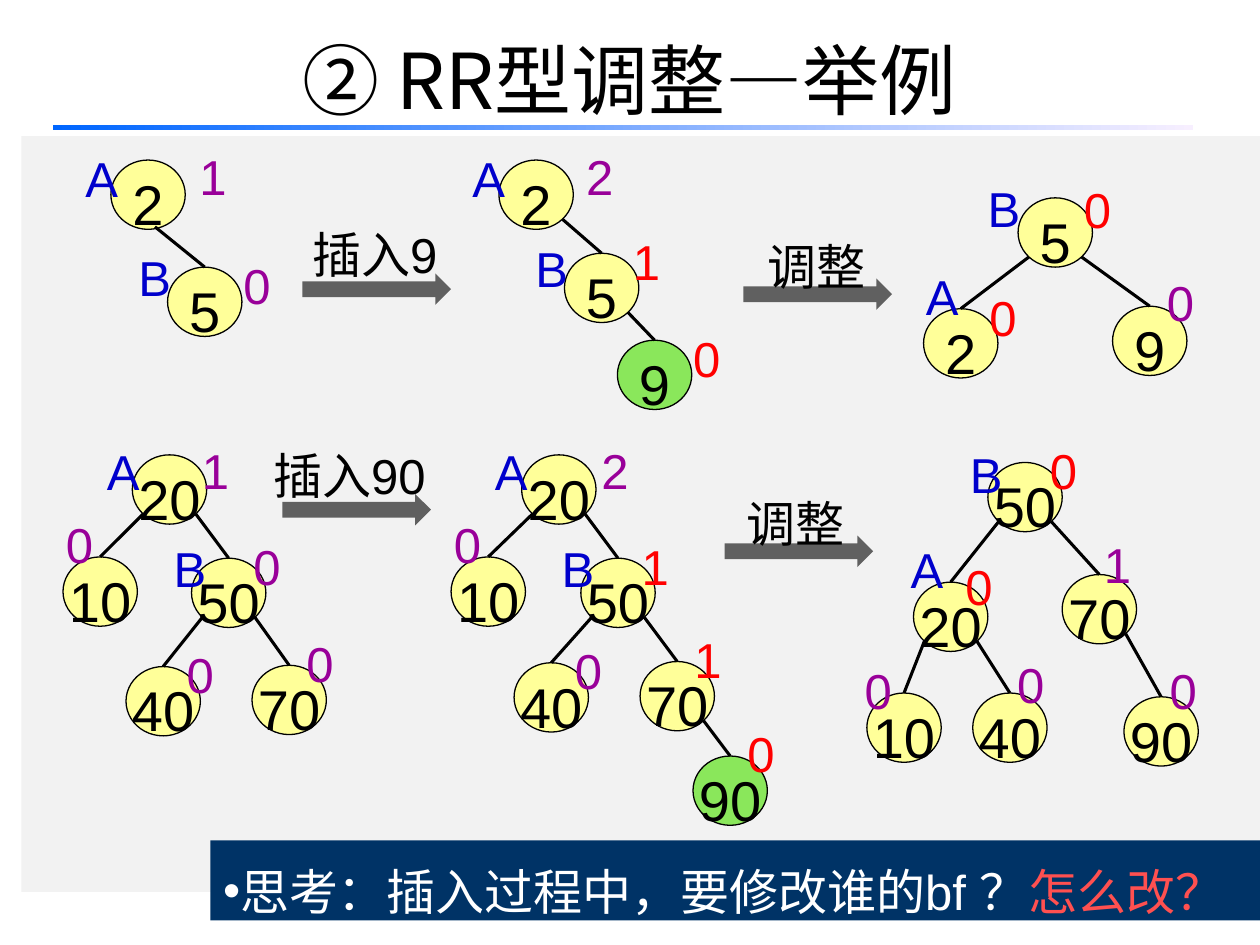
"""Build the slide that shows RR rotations of balanced binary trees."""
from dataclasses import dataclass
from typing import NamedTuple, Optional

from lxml import etree
from pptx import Presentation
from pptx import util as u
from pptx.dml.color import RGBColor
from pptx.enum import shapes, text
from pptx.oxml import ns

COLUMNS, ROWS = 100, 75
CELL = u.Inches(0.1)
NODE_WIDTH, NODE_HEIGHT = 5.9, 5.5
DIAGONAL = 0.5 ** 0.5 / 2
SHAPE, ALIGN = shapes.MSO_SHAPE, text.PP_ALIGN


@dataclass(frozen=True)
class Theme:
    black: str = "000000"
    white: str = "FFFFFF"
    panel: str = "F2F2F2"
    node: str = "FFFF99"
    inserted: str = "8AE75B"
    name: str = "0000CC"
    kept: str = "990099"
    changed: str = "FF0000"
    arrow: str = "606060"
    bar: str = "003366"
    question: str = "FF5050"
    rule_start: str = "0066FF"
    rule_end: str = "F7EFFF"
    latin: str = "Arial"
    chinese: str = "Noto Sans CJK SC"
    title_size: int = 44
    node_size: int = 32
    label_size: int = 28


THEME = Theme()


class Mark(NamedTuple):
    words: str
    column: float
    row: float
    color: str = THEME.kept


class Node(NamedTuple):
    value: str
    column: float
    row: float
    balance: Mark
    parent: Optional[int] = None
    name: Optional[Mark] = None
    fill: str = THEME.node
    edge_start: Optional[tuple] = None


class Step(NamedTuple):
    words: str
    column: float
    row: float
    width: float
    arrow_column: float
    arrow_row: float


def letter(words: str, column: float, row: float) -> Mark:
    """Describe the name of a node."""
    return Mark(words, column, row, THEME.name)


def changed(words: str, column: float, row: float) -> Mark:
    """Describe a balance factor that has been modified."""
    return Mark(words, column, row, THEME.changed)


TREES = [
    [Node("2", 8.8, 12.7, Mark("1", 14.8, 10), name=letter("A", 5.8, 10.1)),
     Node("5", 13.3, 21.2, Mark("0", 18.3, 18.6), 0, letter("B", 10, 18), edge_start=(12.3, 18))],
    [Node("2", 39.6, 12.7, Mark("2", 45.5, 10), name=letter("A", 36.5, 10.1)),
     Node("5", 44.8, 20.1, changed("1", 49.2, 16.7), 0, letter("B", 41.5, 17.3)),
     Node("9", 49, 27, changed("0", 54, 24.4), 1, fill=THEME.inserted)],
    [Node("5", 80.8, 15.7, changed("0", 85, 12.6), name=letter("B", 77.4, 12.5)),
     Node("2", 73.3, 24.5, changed("0", 77.5, 21.2), 0, letter("A", 72.5, 19.5)),
     Node("9", 88.3, 24.3, Mark("0", 91.6, 20), 0)],
    [Node("20", 10.5, 36.1, Mark("1", 15, 33.3), name=letter("A", 7.5, 33.4)),
     Node("10", 5, 44.2, Mark("0", 4.2, 39.2), 0),
     Node("50", 15.2, 44.3, Mark("0", 19.1, 40.9), 0, letter("B", 12.8, 41.1)),
     Node("40", 10, 52.9, Mark("0", 13.8, 49.5), 2),
     Node("70", 20, 52.8, Mark("0", 23.3, 48.6), 2)],
    [Node("20", 41.4, 36.1, Mark("2", 46.7, 33.3), name=letter("A", 38.3, 33.4)),
     Node("10", 35.8, 44.2, Mark("0", 35, 39.2), 0),
     Node("50", 46.1, 44.3, changed("1", 49.9, 40.9), 0, letter("B", 43.6, 41.1)),
     Node("40", 40.8, 52.6, Mark("0", 44.6, 49.2), 2),
     Node("70", 50.8, 52.5, changed("1", 54.1, 48.3), 2),
     Node("90", 55, 60, changed("0", 58.3, 55.8), 4, fill=THEME.inserted)],
    [Node("50", 78.4, 36.7, changed("0", 82.3, 33.3), name=letter("B", 76, 33.6)),
     Node("20", 72.5, 46.2, changed("0", 75.6, 42.5), 0, letter("A", 71.3, 41.2)),
     Node("70", 84.3, 45.6, Mark("1", 86.6, 40.8), 0),
     Node("10", 68.8, 55, Mark("0", 67.6, 50.8), 1),
     Node("40", 77.2, 55, Mark("0", 79.7, 50.3), 1),
     Node("90", 89.2, 55.3, Mark("0", 91.8, 50.8), 2)],
]
STEPS = [
    Step("插入9", 23.8, 16.2, 12.1, 24, 21.7),
    Step("调整", 59.9, 17.1, 9.9, 59, 22.1),
    Step("插入90", 20.7, 33.7, 14.3, 22.4, 39.2),
    Step("调整", 58.3, 37.5, 9.9, 57.5, 42.5),
]


def grid(*cells: float) -> list:
    """Turn columns and rows into slide lengths."""
    return [round(cell * CELL) for cell in cells]


def add_run(paragraph, words: str, size: int, color: str, font: str = THEME.latin) -> None:
    """Add one formatted run."""
    run = paragraph.add_run()
    run.text = words
    run.font.size = u.Pt(size)
    run.font.color.rgb = RGBColor.from_string(color)
    run.font.name = font
    etree.SubElement(run.font._element, ns.qn("a:ea"), typeface=THEME.chinese)


def space_paragraph(paragraph, alignment) -> None:
    """Apply the common alignment, line spacing and proportional space before."""
    paragraph.alignment = alignment
    paragraph.line_spacing = 1.25
    paragraph.space_before = u.Pt(0)
    before = paragraph._p.pPr.find(ns.qn("a:spcBef"))
    before.remove(before[0])
    etree.SubElement(before, ns.qn("a:spcPct"), val="30000")


def add_block(slide, kind, cells: tuple, fill: str):
    """Draw a flat preset shape without outline."""
    shape = slide.shapes.add_shape(kind, *grid(*cells))
    shape.shadow.inherit = False
    shape.fill.solid()
    shape.fill.fore_color.rgb = RGBColor.from_string(fill)
    shape.line.fill.background()
    return shape


def add_label(slide, mark: Mark, width: float, alignment, wrap: bool = False) -> None:
    """Draw a free text label."""
    frame = slide.shapes.add_textbox(*grid(mark.column, mark.row, width, 6.3)).text_frame
    frame.word_wrap = wrap
    frame.auto_size = text.MSO_AUTO_SIZE.SHAPE_TO_FIT_TEXT
    space_paragraph(frame.paragraphs[0], alignment)
    add_run(frame.paragraphs[0], mark.words, THEME.label_size, mark.color)


def add_node(slide, node: Node):
    """Draw one tree node with its key."""
    shape = add_block(slide, SHAPE.OVAL, (node.column, node.row, NODE_WIDTH, NODE_HEIGHT), node.fill)
    shape.line.color.rgb = RGBColor.from_string(THEME.black)
    shape.line.width = u.Pt(0.75)
    frame = shape.text_frame
    frame.word_wrap = False
    frame.vertical_anchor = text.MSO_ANCHOR.MIDDLE
    space_paragraph(frame.paragraphs[0], ALIGN.CENTER)
    add_run(frame.paragraphs[0], node.value, THEME.node_size, THEME.black)
    return shape


def add_edge(slide, parent: Node, child: Node, child_shape) -> None:
    """Join the parent's lower diagonal point to the top of the child."""
    side = 1 if child.column > parent.column else -1
    start = child.edge_start or (parent.column + NODE_WIDTH * (0.5 + side * DIAGONAL),
                                 parent.row + NODE_HEIGHT * (0.5 + DIAGONAL))
    end = (child.column + NODE_WIDTH / 2, child.row)
    edge = slide.shapes.add_connector(shapes.MSO_CONNECTOR.STRAIGHT, *grid(*start, *end))
    edge.end_connect(child_shape, 0)
    edge.line.color.rgb = RGBColor.from_string(THEME.black)
    edge.line.width = u.Pt(1.75)
    etree.SubElement(edge._element.spPr, ns.qn("a:effectLst"))


def add_tree(slide, nodes: list) -> None:
    """Draw nodes, edges, names and balance factors of one tree."""
    for node in nodes:
        shape = add_node(slide, node)
        if node.parent is not None:
            add_edge(slide, nodes[node.parent], node, shape)
    for node in nodes:
        if node.name:
            add_label(slide, node.name, 4.6, ALIGN.LEFT)
        add_label(slide, node.balance, 4.2, ALIGN.CENTER)


def place(shape, cells: tuple) -> None:
    """Move a placeholder onto the grid."""
    shape.left, shape.top, shape.width, shape.height = grid(*cells)


def fill_title(title) -> None:
    """Format the title placeholder."""
    place(title, (5, 0, 90, 12.5))
    title.text_frame.vertical_anchor = text.MSO_ANCHOR.MIDDLE
    paragraph = title.text_frame.paragraphs[0]
    paragraph.alignment = ALIGN.CENTER
    add_run(paragraph, "② RR型调整—举例", THEME.title_size, THEME.black, THEME.chinese)


def fill_question(body) -> None:
    """Format the body placeholder as the bar in front of the panel."""
    place(body, (16.7, 66.7, 83.3, 6.3))
    body.fill.solid()
    body.fill.fore_color.rgb = RGBColor.from_string(THEME.bar)
    body.text_frame.auto_size = text.MSO_AUTO_SIZE.SHAPE_TO_FIT_TEXT
    paragraph = body.text_frame.paragraphs[0]
    space_paragraph(paragraph, ALIGN.LEFT)
    properties = paragraph._p.pPr
    properties.set("marL", "0")
    properties.set("indent", "0")
    etree.SubElement(properties, ns.qn("a:buFont"), typeface=THEME.latin)
    etree.SubElement(properties, ns.qn("a:buChar"), char="•")
    add_run(paragraph, "思考：插入过程中，要修改谁的bf ？", THEME.label_size, THEME.white)
    add_run(paragraph, "怎么改？", THEME.label_size, THEME.question)
    body.element.getparent().append(body.element)


def main() -> None:
    """Assemble and save the slide."""
    presentation = Presentation()
    presentation.slide_width, presentation.slide_height = grid(COLUMNS, ROWS)
    slide = presentation.slides.add_slide(presentation.slide_layouts[1])
    fill_title(slide.shapes.title)
    rule = add_block(slide, SHAPE.RECTANGLE, (4.2, 9.9, 90.5, 0.4), THEME.rule_start)
    rule.fill.gradient()
    rule.fill.gradient_angle = 0
    for stop, color in zip(rule.fill.gradient_stops, (THEME.rule_start, THEME.rule_end)):
        stop.color.rgb = RGBColor.from_string(color)
    add_block(slide, SHAPE.RECTANGLE, (1.7, 10.8, 98.3, 60), THEME.panel)
    for step in STEPS:
        add_block(slide, SHAPE.RIGHT_ARROW, (step.arrow_column, step.arrow_row, 11.8, 2.5), THEME.arrow)
        add_label(slide, Mark(step.words, step.column, step.row, THEME.black), step.width, ALIGN.LEFT, True)
    for nodes in TREES:
        add_tree(slide, nodes)
    fill_question(slide.placeholders[1])
    presentation.save("out.pptx")


if __name__ == "__main__":
    main()
